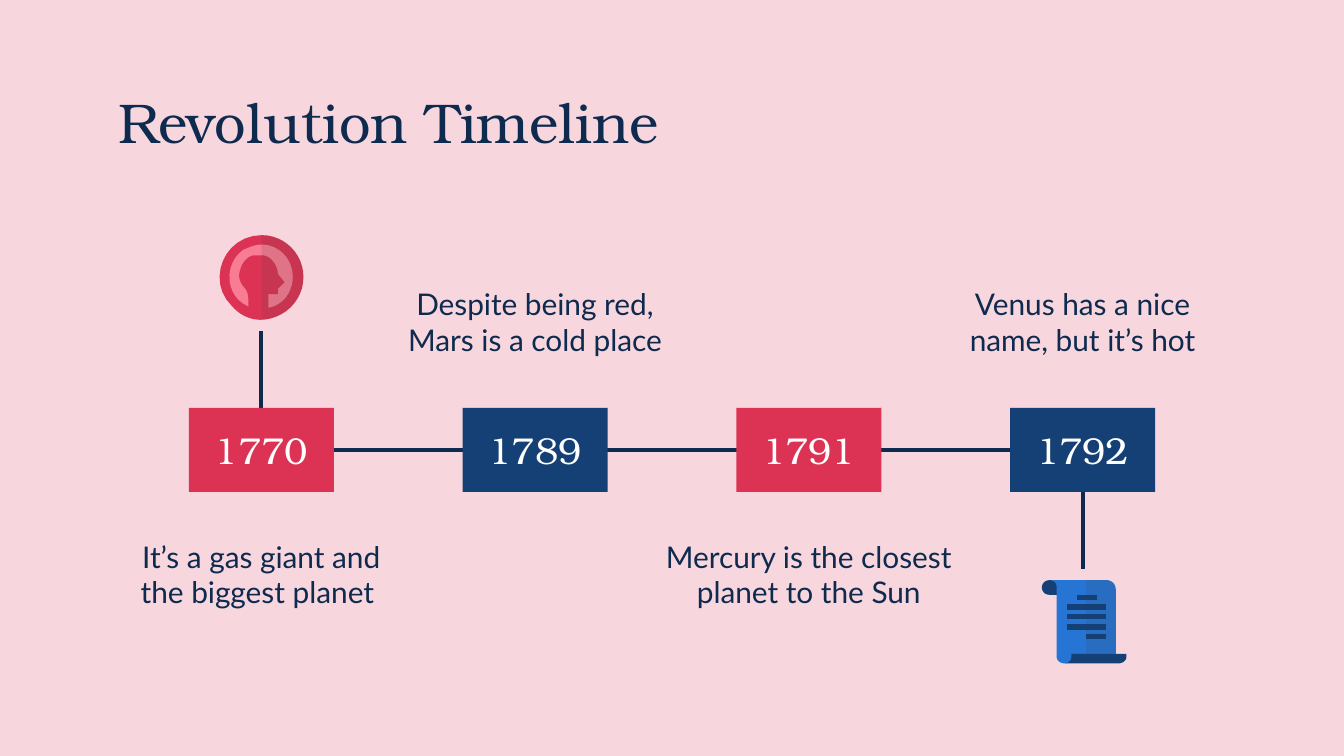
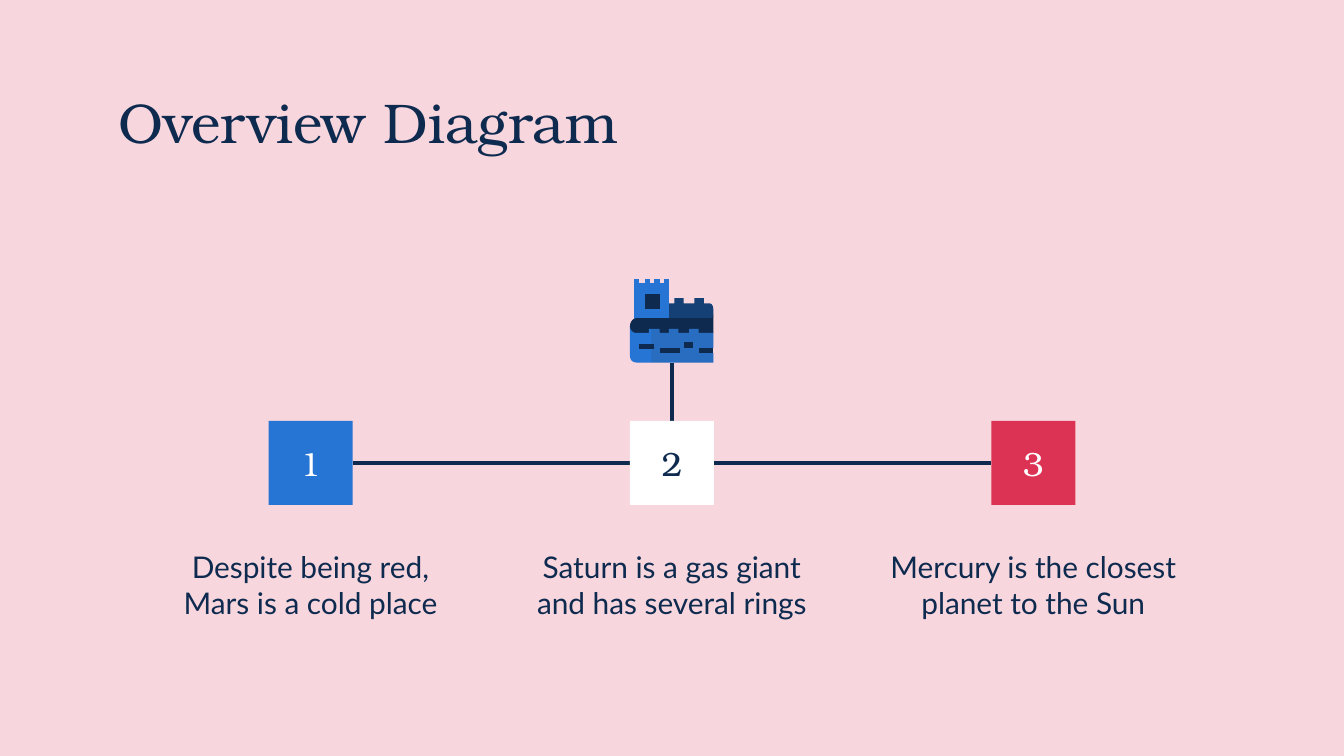
import lxml.etree
import pptx
import pptx.dml.color
import pptx.enum.shapes
import pptx.enum.text
import pptx.oxml.ns
import pptx.util

Pt = pptx.util.Pt
ALIGN = pptx.enum.text.PP_ALIGN
ANCHOR = pptx.enum.text.MSO_ANCHOR
CONNECTOR = pptx.enum.shapes.MSO_CONNECTOR

PINK, NAVY, DEEP_BLUE, BLUE = "F7D6DD", "0E2B4F", "154075", "2674D4"
RED, ROSE, WHITE, SHADE = "DC3354", "F77C94", "FFFFFF", "434343"
SERIF, SANS = "TeX Gyre Bonum", "Lato"
ICON_UNIT = 0.72
CURVE_STEPS = 12


def rgb(color):
    return pptx.dml.color.RGBColor.from_string(color)


def box(x, y, width, height=4):
    """Corners of a rectangle in icon units."""
    return [(x, y), (x, y + height), (x + width, y + height), (x + width, y)]


def flatten(outline):
    """Turn pairs (corners) and sextuples (Bezier curves) into plain points."""
    points = [outline[0]]
    for segment in outline[1:]:
        if len(segment) == 2:
            points.append(segment)
            continue
        start = points[-1]
        for step in range(1, CURVE_STEPS + 1):
            t = step / CURVE_STEPS
            u = 1 - t
            points.append(tuple(
                u**3 * start[axis] + 3 * u * u * t * segment[axis]
                + 3 * u * t * t * segment[axis + 2] + t**3 * segment[axis + 4]
                for axis in (0, 1)))
    return points


# Icon layers are (colour, outline), from back to front, in icon units.
SCROLL = [
    (DEEP_BLUE, [(8, 0), (0, 0, 0, 11, 8, 11), (17, 11), (17, 5),
                 (17, 2, 11, 0, 8, 0)]),
    (BLUE, [(8, 0), (11, 0, 13, 2, 13, 5), (13, 57), (13, 60, 16, 62, 19, 62),
            (22, 62, 28, 60, 28, 57), (35, 57), (57, 58), (57, 7),
            (57, 3, 54, 0, 50, 0)]),
    (SHADE, [(35, 0), (35, 57), (57, 58), (57, 7), (57, 3, 54, 0, 50, 0)]),
    *[(DEEP_BLUE, box(x, y, width)) for x, y, width in
      [(28, 11, 15), (21, 18, 29), (21, 25, 29), (21, 33, 29), (35, 40, 15)]],
    (DEEP_BLUE, [(24, 55), (24, 57), (24, 60, 22, 62, 19, 62), (59, 62),
                 (62, 62, 65, 60, 65, 57), (65, 55)]),
]

DISC_RIGHT = (73, 14, 59, 0, 42, 0)
RING_RIGHT = [(42, 54), (47, 54), (58, 52, 65, 42, 65, 31),
              (65, 17, 54, 7, 42, 7)]
FACE = [(43, 55, 45, 55, 47, 54), (47, 44), (54, 44), (54, 40), (59, 35),
        (54, 29), (54, 25, 52, 21, 49, 18), (47, 16, 44, 15, 42, 15)]
MEDALLION = [
    (RED, [(42, 0), (14, 0, 0, 34, 20, 53), (26, 60, 34, 63, 41, 63),
           (57, 63, 73, 50, 73, 31), DISC_RIGHT]),
    (SHADE, [(42, 0), (42, 63), (59, 62, 73, 49, 73, 31), DISC_RIGHT]),
    (ROSE, [(42, 7), (37, 7, 33, 9, 28, 11), (13, 22, 15, 46, 32, 53),
            *RING_RIGHT]),
    (SHADE, [(42, 7), *RING_RIGHT]),
    (RED, [(39, 15), (36, 15), (31, 16, 27, 21, 26, 26),
           (24, 31, 26, 36, 30, 40), (31, 42, 32, 44, 32, 47), (32, 53),
           (35, 54, 38, 55, 42, 55), *FACE]),
    (SHADE, [(42, 15), (42, 55), *FACE]),
]

BATTLEMENT = [(62, 62), (62, 55), (59, 53), (62, 51), (62, 40), (51, 40),
              (51, 37), (44, 37), (44, 40), (36, 40), (36, 37), (29, 37),
              (29, 40), (22, 40), (22, 37)]
CASTLE = [
    (DEEP_BLUE, [(33, 14), (33, 18), (29, 18), (25, 24), (29, 33), (59, 33),
                 (61, 33, 62, 28, 62, 26), (62, 22), (62, 20, 61, 18, 59, 18),
                 (55, 18), (55, 14), (48, 14), (48, 18), (40, 18), (40, 14)]),
    *[(BLUE, box(x, 0, 4, 5)) for x in (3, 11, 18, 25)],
    (BLUE, box(3, 3, 26, 30)),
    (NAVY, box(11, 11, 11, 11)),
    (NAVY, [(62, 26), (62, 28, 61, 29, 59, 29), (5, 29), (2, 29, 0, 32, 0, 35),
            (0, 38, 2, 44, 5, 44), (59, 44), (62, 40)]),
    (BLUE, [(0, 35), (0, 57), (0, 60, 2, 62, 5, 62), *BATTLEMENT, (14, 37),
            (14, 40), (5, 40), (2, 40, 0, 38, 0, 35)]),
    (SHADE, [(16, 37), (16, 62), *BATTLEMENT]),
    *[(NAVY, box(x, y, width)) for x, y, width in
      [(7, 48, 11), (40, 47, 7), (22, 51, 15), (51, 51, 11)]],
]


class Deck:
    def __init__(self):
        self.prs = pptx.Presentation()
        self.prs.slide_width, self.prs.slide_height = Pt(720), Pt(405)
        background = self.prs.slide_master.background.fill
        background.solid()
        background.fore_color.rgb = rgb(PINK)

    def new_slide(self, title):
        self.slide = self.prs.slides.add_slide(self.prs.slide_layouts[5])
        heading = self.slide.shapes.title
        heading.left, heading.top = Pt(56.2), Pt(42.5)
        heading.width, heading.height = Pt(607.6), Pt(45)
        self.set_text(heading, title, 30, SERIF, NAVY, ALIGN.LEFT)

    def set_text(self, shape, text, size, font, color, align=ALIGN.CENTER,
                 anchor=ANCHOR.MIDDLE):
        frame = shape.text_frame
        frame.text = text
        frame.word_wrap = True
        frame.auto_size = pptx.enum.text.MSO_AUTO_SIZE.NONE
        frame.vertical_anchor = anchor
        frame.margin_left = frame.margin_right = Pt(7.2)
        frame.margin_top = frame.margin_bottom = Pt(7.2)
        paragraph = frame.paragraphs[0]
        paragraph.alignment = align
        paragraph.font.size = Pt(size)
        paragraph.font.name = font
        paragraph.font.color.rgb = rgb(color)

    def paint(self, shape, color):
        shape.shadow.inherit = False
        shape.fill.solid()
        shape.fill.fore_color.rgb = rgb(color)
        shape.line.fill.background()

    def marker(self, center_x, center_y, width, text, size, fill, color=WHITE):
        """Add a filled label, 45 points high, centred on a point."""
        label = self.slide.shapes.add_shape(
            pptx.enum.shapes.MSO_SHAPE.RECTANGLE, Pt(center_x - width / 2),
            Pt(center_y - 22.5), Pt(width), Pt(45))
        self.paint(label, fill)
        self.set_text(label, text, size, SERIF, color)

    def caption(self, center_x, top, width, height, text, anchor):
        note = self.slide.shapes.add_textbox(
            Pt(center_x - width / 2), Pt(top), Pt(width), Pt(height))
        self.set_text(note, text, 16, SANS, NAVY, anchor=anchor)

    def line(self, x1, y1, x2, y2, kind=CONNECTOR.STRAIGHT):
        link = self.slide.shapes.add_connector(
            kind, Pt(x1), Pt(y1), Pt(x2), Pt(y2))
        link.line.color.rgb = rgb(NAVY)
        link.line.width = Pt(2.25)
        lxml.etree.SubElement(link._element.spPr,
                              pptx.oxml.ns.qn("a:effectLst"))

    def icon(self, left, top, layers):
        group = self.slide.shapes.add_group_shape()
        for color, outline in layers:
            points = [(round(100 * x), round(100 * y))
                      for x, y in flatten(outline)]
            builder = group.shapes.build_freeform(
                *points[0], scale=Pt(ICON_UNIT) / 100)
            builder.add_line_segments(points[1:], close=True)
            layer = builder.convert_to_shape(Pt(left), Pt(top))
            self.paint(layer, color)
            if color == SHADE:
                tint = layer._element.spPr.find(".//" + pptx.oxml.ns.qn("a:srgbClr"))
                lxml.etree.SubElement(
                    tint, pptx.oxml.ns.qn("a:alpha"), val="13000")


def timeline(deck):
    deck.new_slide("Revolution Timeline")
    first, last, axis, width = 140, 580, 241, 77.7
    above, below = 149.8, 285.1
    events = [
        ("1770", RED, below, "It’s a gas giant and the biggest planet "),
        ("1789", DEEP_BLUE, above, "Despite being red, Mars is a cold place"),
        ("1791", RED, below, "Mercury is the closest planet to the Sun"),
        ("1792", DEEP_BLUE, above, "Venus has a nice name, but it’s hot"),
    ]
    deck.line(first + width / 2, axis, last - width / 2, axis)
    deck.line(first, 177.3, first, 219)
    deck.line(last, 263, last, 304.7)
    step = (last - first) / (len(events) - 1)
    for index, (year, fill, top, text) in enumerate(events):
        center = first + index * step
        deck.marker(center, axis, width, year, 20, fill)
        deck.caption(center, top, 167.8, 45, text, ANCHOR.MIDDLE)
    deck.icon(556.7, 310.8, SCROLL)
    deck.icon(110, 126, MEDALLION)


def overview(deck):
    deck.new_slide("Overview Diagram")
    middle, step, axis, side = 360, 193.6, 248, 45
    parts = [
        ("1", BLUE, WHITE, "Despite being red, Mars is a cold place"),
        ("2", WHITE, NAVY, "Saturn is a gas giant and has several rings"),
        ("3", RED, WHITE, "Mercury is the closest planet to the Sun"),
    ]
    deck.line(middle, 194.5, middle, axis - side / 2)
    for direction in (-1, 1):
        deck.line(middle + direction * side / 2, axis,
                  middle + direction * (step - side / 2), axis,
                  CONNECTOR.ELBOW)
    for index, (number, fill, color, text) in enumerate(parts):
        center = middle + (index - 1) * step
        deck.marker(center, axis, side, number, 18, fill, color)
        deck.caption(center, 286.6, 172, 70.6, text, ANCHOR.TOP)
    deck.icon(337.5, 149.6, CASTLE)


def main():
    deck = Deck()
    timeline(deck)
    overview(deck)
    deck.prs.save("out.pptx")


if __name__ == "__main__":
    main()
